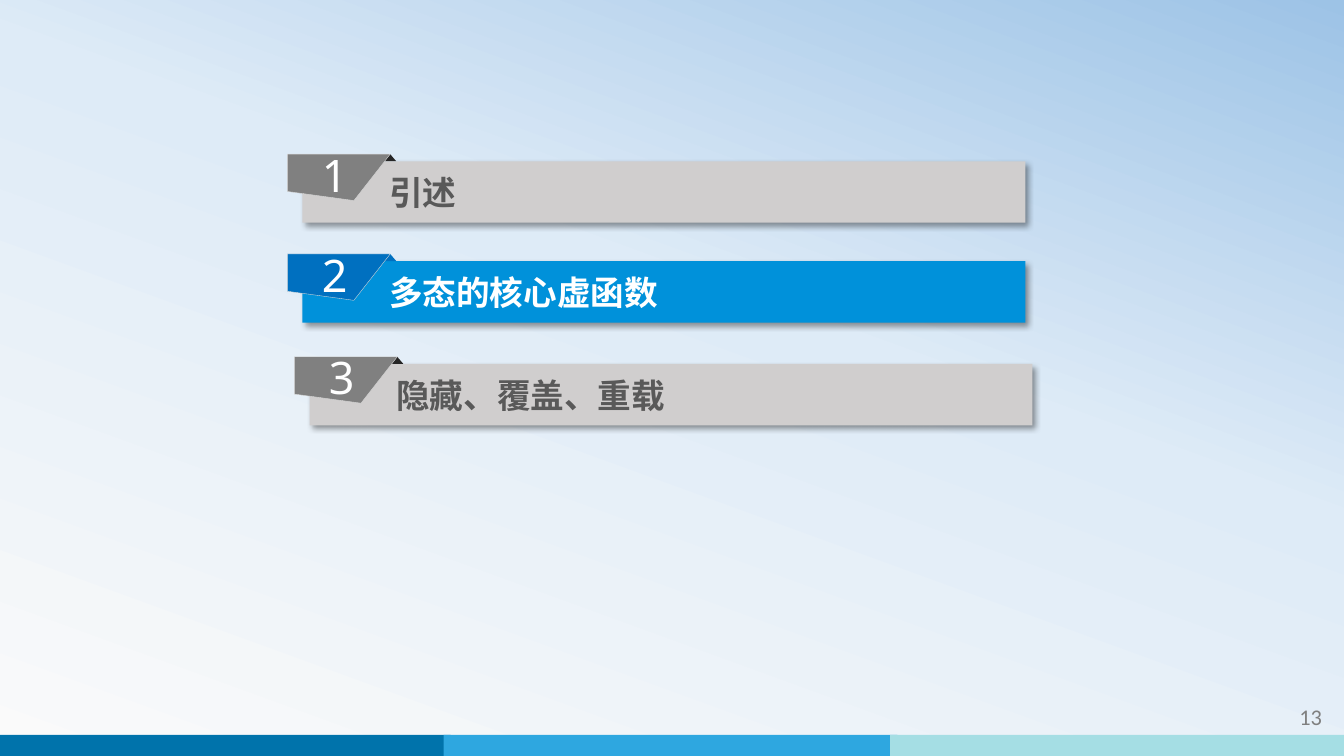
"""Build an agenda slide with three numbered bars, the second one highlighted."""
from copy import deepcopy
from lxml.etree import SubElement as Sub
from pptx import Presentation
from pptx.dml.color import RGBColor as RGB
from pptx.enum.shapes import MSO_SHAPE as Kind
from pptx.enum.text import MSO_ANCHOR as Anchor, PP_ALIGN as Align
from pptx.oxml.ns import qn
from pptx.util import Inches, Pt


def paint(shape, color, line=None):
    shape.shadow.inherit = False
    shape.fill.solid()
    shape.fill.fore_color.rgb = RGB.from_string(color)
    if line:
        shape.line.color.rgb = RGB.from_string(line)
        shape.line.width = Pt(0.25)
    else:
        shape.line.fill.background()


def write(shape, text, size, face, color, align, pads, bold=False):
    frame = shape.text_frame
    frame.word_wrap = True
    frame.vertical_anchor = Anchor.MIDDLE
    frame.margin_left, frame.margin_top, frame.margin_right, frame.margin_bottom = map(Inches, pads)
    para = frame.paragraphs[0]
    para.alignment = align
    run = para.add_run()
    run.text = text
    font = run.font
    font.size, font.bold, font.name = Pt(size), bold, face
    font.color.rgb = RGB.from_string(color)
    Sub(font._element, qn("a:ea"), typeface=face)


deck = Presentation()
deck.slide_width, deck.slide_height = Inches(13.33), Inches(7.5)
slide = deck.slides.add_slide(deck.slide_layouts[6])
shapes = slide.shapes

back = slide.background.fill
back.gradient()
back.gradient_angle = 70
stops = slide.element.find(".//" + qn("a:gsLst"))
stops.append(deepcopy(stops[-1]))
shades = [(0, "FAFAFA"), (0.58, "DEEBF7"), (1, "9DC3E6")]
for stop, (place, color) in zip(back.gradient_stops, shades):
    stop.position = place
    stop.color.rgb = RGB.from_string(color)

for left, color in [(-0.03, "0073AB"), (4.4, "2EA7E0"), (8.83, "A5DEE4")]:
    band = shapes.add_shape(Kind.RECTANGLE, Inches(left), Inches(7.29), Inches(4.5), Inches(0.21))
    paint(band, color)

page = shapes.add_textbox(Inches(11.62), Inches(6.91), Inches(1.59), Inches(0.4))
write(page, "13", 16, "Calibri", "808080", Align.RIGHT, (0.1, 0.05, 0.1, 0.05))

gray = ("D0CECE", "595959", "262626", "808080")
blue = ("0091DA", "FFFFFF", "0070C0", "0070C0")
items = [
    ("引述", 2.85, 1.53, gray),
    ("多态的核心虚函数", 2.85, 2.52, blue),
    ("隐藏、覆盖、重载", 2.92, 3.54, gray),
]
for num, (title, left, top, (fill, ink, fold, tag)) in enumerate(items, 1):
    bar = shapes.add_shape(Kind.RECTANGLE, Inches(left + 0.15), Inches(top + 0.07), Inches(7.17), Inches(0.61))
    paint(bar, fill)
    write(bar, title, 24, "Noto Sans CJK SC", ink, Align.LEFT, (0.86, 0.05, 0.1, 0.05), True)
    glow = Sub(bar.element.spPr.find(qn("a:effectLst")), qn("a:outerShdw"), blurRad=str(Pt(4)),
               dist=str(Pt(3)), dir="2700000", algn="tl", rotWithShape="0")
    Sub(Sub(glow, qn("a:srgbClr"), val="000000"), qn("a:alpha"), val="40000")

    wedge = shapes.add_shape(Kind.ISOSCELES_TRIANGLE, Inches(left + 0.96), Inches(top), Inches(0.12), Inches(0.07))
    paint(wedge, fold)

    path = shapes.build_freeform(Inches(left), Inches(top))
    corners = [(1.02, 0), (0.66, 0.46), (0, 0.37)]
    path.add_line_segments([(Inches(left + x), Inches(top + y)) for x, y in corners])
    flag = path.convert_to_shape()
    paint(flag, tag, "D9D9D9")
    write(flag, str(num), 32, "Noto Sans", "FFFFFF", Align.CENTER, (0.09, 0.04, 0.17, 0.1))

deck.save("out.pptx")
